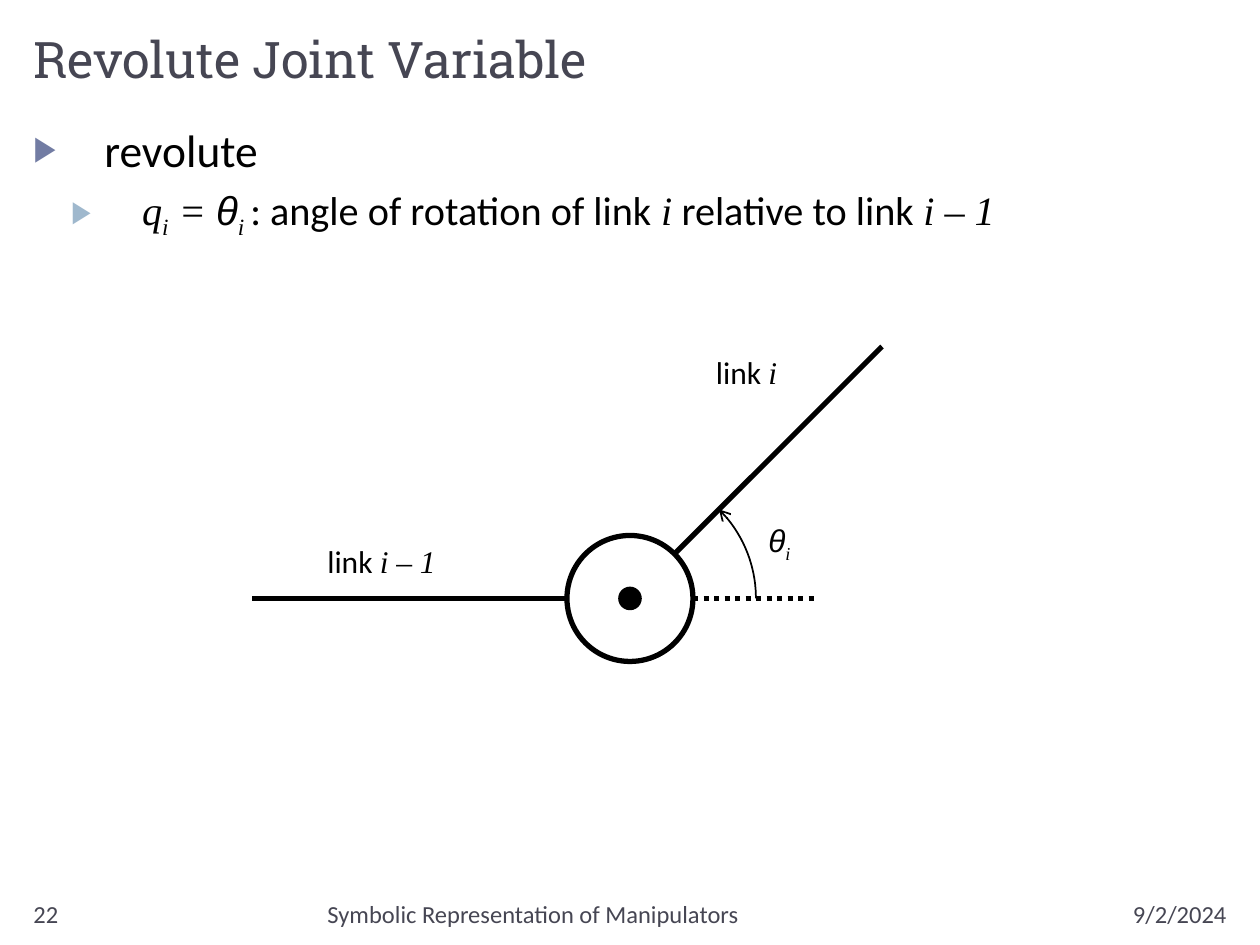
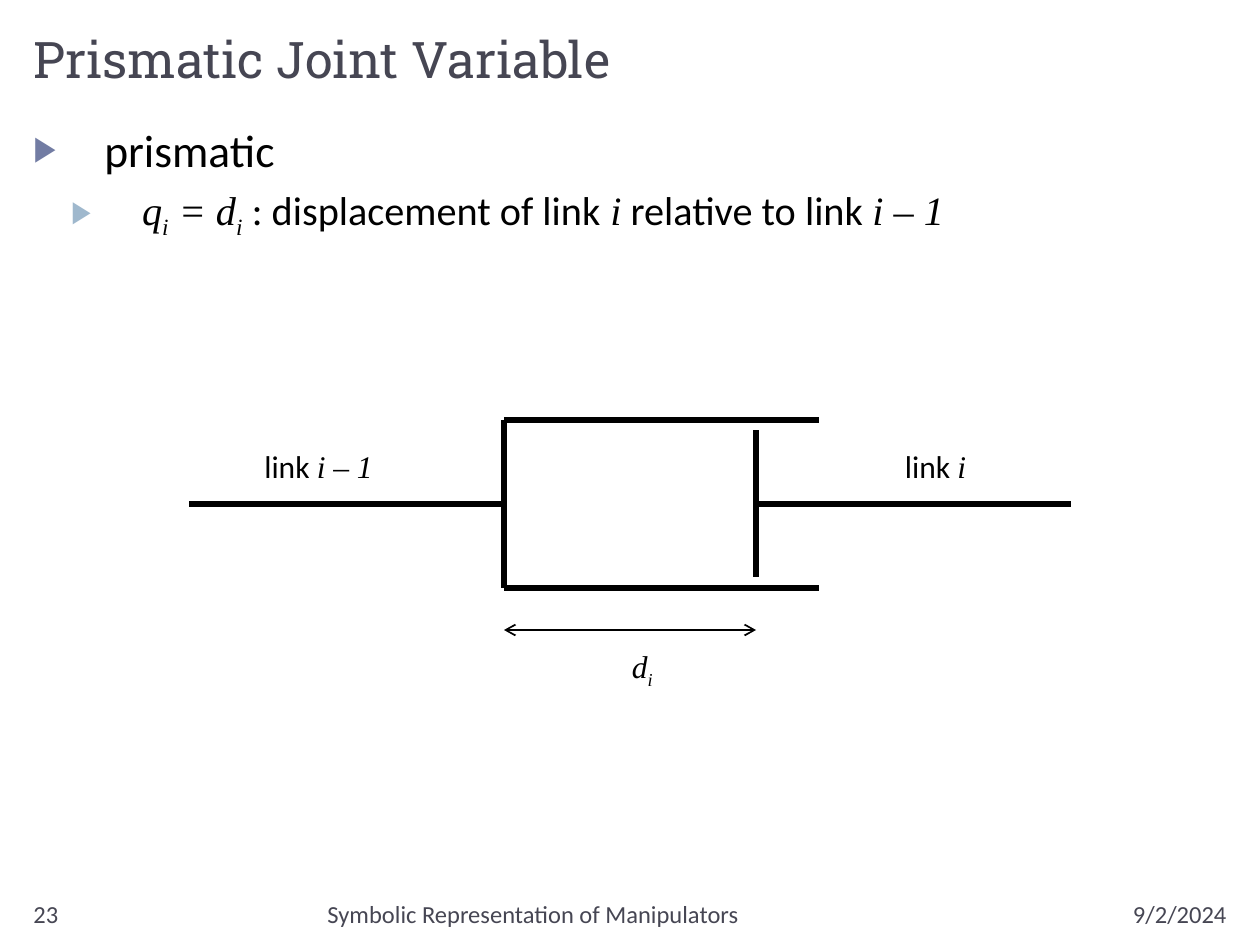
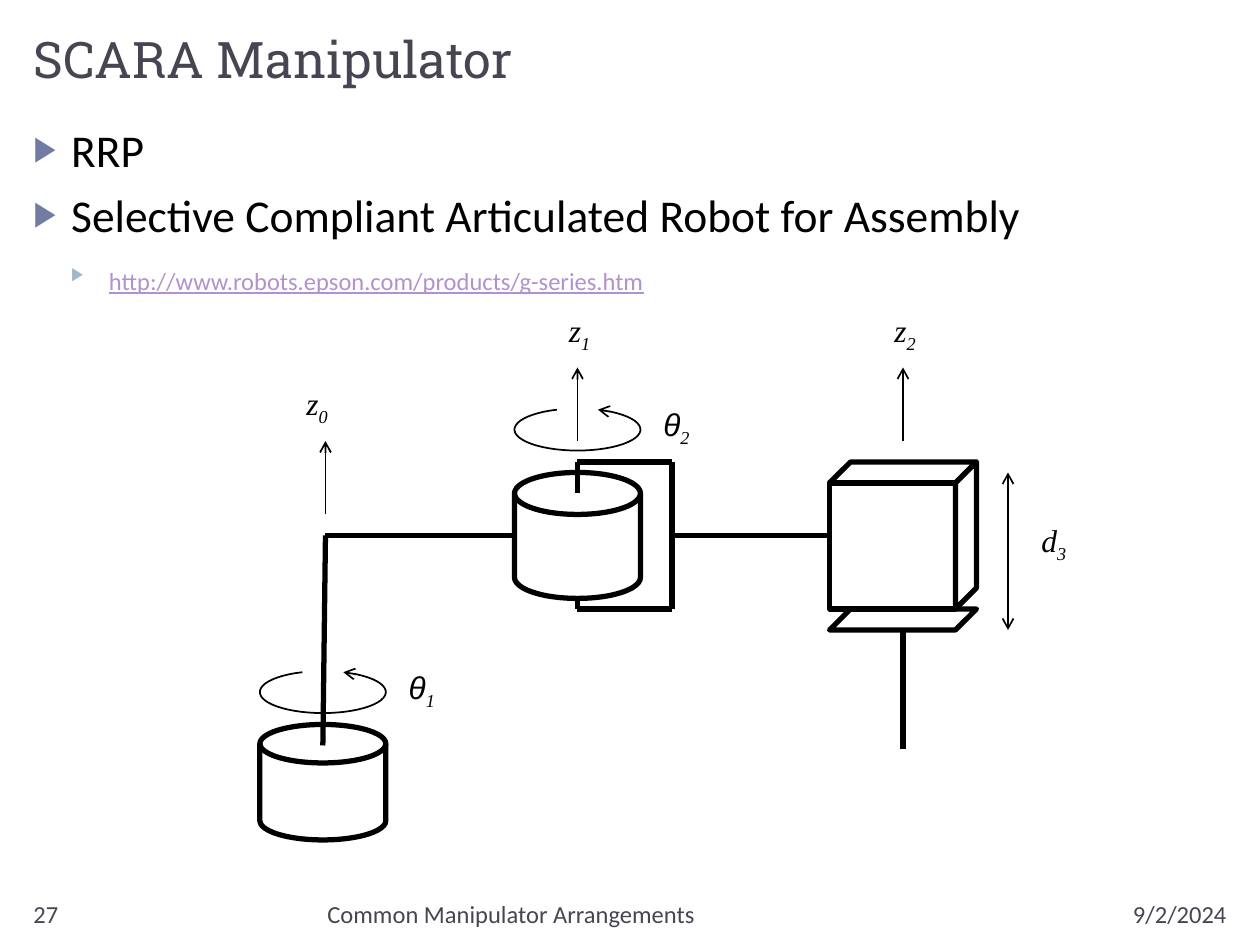
from dataclasses import dataclass
from math import cos, radians, sin

from lxml.etree import SubElement
from pptx import Presentation
from pptx.dml.color import RGBColor
from pptx.enum.dml import MSO_LINE
from pptx.enum.shapes import MSO_CONNECTOR, MSO_SHAPE
from pptx.enum.text import MSO_ANCHOR, MSO_AUTO_SIZE, PP_ALIGN
from pptx.oxml.ns import qn
from pptx.util import Pt


@dataclass(frozen=True)
class Theme:
    ink: str = "000000"
    paper: str = "FFFFFF"
    heading: str = "464653"
    link: str = "B292CA"
    bullets: tuple = ("727CA3", "9FB8CD")
    title_font: str = "Roboto Slab"
    text_font: str = "Calibri"
    math_font: str = "Times New Roman"
    greek_font: str = "Arial"
    title_size: float = 28.8
    body_sizes: tuple = (26, 23)
    body_spacing: tuple = (6, 5)
    label_size: float = 18
    small_size: float = 14
    level_step: float = 21.6
    thick: float = 3
    thin: float = 1


THEME = Theme()


@dataclass(frozen=True)
class RunStyle:
    font: str
    italic: bool = False
    subscript: bool = False
    underline: bool = False
    color: str = THEME.ink
    size: float = 0  # 0 takes the size of the paragraph


TEXT = RunStyle(THEME.text_font)
VAR = RunStyle(THEME.math_font, italic=True)
SUB = RunStyle(THEME.math_font, italic=True, subscript=True)
GREEK = RunStyle(THEME.greek_font, italic=True)
TITLE = RunStyle(THEME.title_font, color=THEME.heading)
FOOTER = RunStyle(THEME.text_font, color=THEME.heading)
LINK = RunStyle(THEME.text_font, underline=True, color=THEME.link, size=THEME.small_size)

LINK_I = [("link ", TEXT), ("i", VAR)]
LINK_PREVIOUS = [("link ", TEXT), ("i – 1", VAR)]
RELATIVE = [("i", VAR), (" relative to link ", TEXT), ("i – 1", VAR)]


def rgb(color):
    return RGBColor.from_string(color)


def write(p, runs, size):
    for text, style in runs:
        r = p.add_run()
        r.text = text
        r.font.name = style.font
        r.font.size = Pt(style.size or size)
        r.font.italic = style.italic
        r.font.underline = style.underline
        r.font.color.rgb = rgb(style.color)
        if style.subscript:
            r.font._element.set("baseline", "-25000")


def add_text(s, x, y, w, h, runs, size, align=PP_ALIGN.LEFT, anchor=MSO_ANCHOR.TOP):
    tf = s.shapes.add_textbox(Pt(x), Pt(y), Pt(w), Pt(h)).text_frame
    tf.word_wrap = True
    tf.vertical_anchor = anchor
    tf.paragraphs[0].alignment = align
    write(tf.paragraphs[0], runs, size)
    return tf


def add_label(s, x, y, runs, w=27.5):
    tf = add_text(s, x, y, w, 29, runs, THEME.label_size)
    tf.word_wrap = False
    tf.auto_size = MSO_AUTO_SIZE.SHAPE_TO_FIT_TEXT


def add_bullet(p, level, hanging):
    p.level = level
    pPr = p._p.get_or_add_pPr()
    pPr.set("marL", str(Pt(hanging + level * THEME.level_step)))
    pPr.set("indent", str(-Pt(hanging)))
    color = SubElement(pPr, qn("a:buClr"))
    SubElement(color, qn("a:srgbClr"), val=THEME.bullets[level])
    SubElement(pPr, qn("a:buSzPct"), val="76000")
    SubElement(pPr, qn("a:buFont"), typeface=THEME.greek_font)
    SubElement(pPr, qn("a:buChar"), char="▶")


def add_body(s, items, hanging):
    """Write (level, runs) items as a bulleted list."""
    tf = s.shapes.add_textbox(Pt(12), Pt(66), Pt(696), Pt(432)).text_frame
    tf.word_wrap = True
    for i, (level, runs) in enumerate(items):
        p = tf.add_paragraph() if i else tf.paragraphs[0]
        add_bullet(p, level, hanging)
        p.space_before = Pt(THEME.body_spacing[level] if i else 0)
        write(p, runs, THEME.body_sizes[level])


def add_frame(prs, title, number, section):
    s = prs.slides.add_slide(prs.slide_layouts[6])
    add_text(s, 12, 12, 696, 42, [(title, TITLE)], THEME.title_size,
             anchor=MSO_ANCHOR.BOTTOM)
    for x, w, text, align in ((576, 132, "9/2/2024", PP_ALIGN.RIGHT),
                              (12, 156, str(number), PP_ALIGN.LEFT),
                              (180, 384, section, PP_ALIGN.LEFT)):
        add_text(s, x, 510, w, 19.5, [(text, FOOTER)], THEME.small_size, align)
    return s


def style_line(sp, weight, head=False, tail=False):
    sp.line.color.rgb = rgb(THEME.ink)
    sp.line.width = Pt(weight)
    ln = sp.line._get_or_add_ln()
    for tag, wanted in (("a:headEnd", head), ("a:tailEnd", tail)):
        if wanted:
            SubElement(ln, qn(tag), type="arrow")


def style_shape(sp, fill=None, weight=THEME.thick, head=False):
    sp.shadow.inherit = False
    if fill:
        sp.fill.solid()
        sp.fill.fore_color.rgb = rgb(fill)
    else:
        sp.fill.background()
    style_line(sp, weight, head)


def add_line(s, x1, y1, x2, y2, weight=THEME.thick, head=False, tail=False):
    sp = s.shapes.add_connector(MSO_CONNECTOR.STRAIGHT, Pt(x1), Pt(y1), Pt(x2), Pt(y2))
    SubElement(sp._element.spPr, qn("a:effectLst"))
    style_line(sp, weight, head, tail)
    return sp


def add_arrow(s, x1, y1, x2, y2, both=False):
    add_line(s, x1, y1, x2, y2, THEME.thin, head=True, tail=both)


def add_preset(s, kind, x, y, w, h, fill=None, weight=THEME.thick):
    sp = s.shapes.add_shape(kind, Pt(x), Pt(y), Pt(w), Pt(h))
    style_shape(sp, fill, weight)


def add_outline(s, points, close):
    start, *rest = [(Pt(x), Pt(y)) for x, y in points]
    builder = s.shapes.build_freeform(*start)
    builder.add_line_segments(rest, close=close)
    return builder.convert_to_shape()


def add_face(s, points):
    style_shape(add_outline(s, points, True), THEME.paper)


def add_curved_arrow(s, cx, cy, rx, ry, start, end):
    """Draw an elliptical arc, clockwise in degrees, with its arrowhead at start."""
    steps = 48
    angles = [radians(start + (end - start) * i / steps) for i in range(steps + 1)]
    arc = add_outline(s, [(cx + rx * cos(a), cy + ry * sin(a)) for a in angles], False)
    style_shape(arc, weight=THEME.thin, head=True)


def add_turn(s, cx, cy):
    """Draw the arrow that shows rotation about a vertical axis."""
    add_curved_arrow(s, cx, cy, 36, 12, -71, 251)


def revolute_slide(prs):
    s = add_frame(prs, "Revolute Joint Variable", 22,
                  "Symbolic Representation of Manipulators")
    add_body(s, [
        (0, [("revolute", TEXT)]),
        (1, [("q", VAR), ("i", SUB), (" = ", VAR), ("θ", GREEK), ("i ", SUB),
             (": angle of rotation of link ", TEXT), *RELATIVE]),
    ], 40.5)
    cx, cy = 360, 342
    add_preset(s, MSO_SHAPE.OVAL, cx - 36, cy - 36, 72, 72)
    add_line(s, 144, cy, cx - 36, cy)
    add_line(s, 385.5, 316.5, 504, 198)
    add_preset(s, MSO_SHAPE.OVAL, cx - 6, cy - 6, 12, 12, THEME.ink, 1.5)
    reference = add_line(s, cx + 36, cy, 468, cy)
    reference.line.dash_style = MSO_LINE.ROUND_DOT
    add_label(s, 180, 306, LINK_PREVIOUS, 83)
    add_label(s, 402, 198, LINK_I, 55)
    add_label(s, 432, 294, [("θ", GREEK), ("i", SUB)])
    add_curved_arrow(s, cx, cy, 72, 72, -45, 0)


def prismatic_slide(prs):
    s = add_frame(prs, "Prismatic Joint Variable", 23,
                  "Symbolic Representation of Manipulators")
    add_body(s, [
        (0, [("prismatic", TEXT)]),
        (1, [("q", VAR), ("i", SUB), (" = d", VAR), ("i", SUB),
             (" : displacement of link ", TEXT), *RELATIVE]),
    ], 40.5)
    axis, sleeve, piston = 288, 288, 432
    add_line(s, 108, axis, sleeve, axis)
    add_line(s, sleeve, axis - 48, sleeve, axis + 48)
    for y in (axis - 48, axis + 48):
        add_line(s, sleeve, y, 468, y)
    add_line(s, piston, axis - 42, piston, axis + 42)
    add_line(s, piston, axis, 612, axis)
    add_label(s, 144, 252, LINK_PREVIOUS, 83)
    add_label(s, 510, 252, LINK_I, 55)
    add_arrow(s, sleeve, 360, piston, 360, both=True)
    add_label(s, 354, 366, [("d", VAR), ("i", SUB)])


def scara_slide(prs):
    s = add_frame(prs, "SCARA Manipulator", 27, "Common Manipulator Arrangements")
    add_body(s, [
        (0, [("RRP", TEXT)]),
        (0, [("Selective Compliant Articulated Robot for Assembly", TEXT)]),
        (1, [("http://www.robots.epson.com/products/g-series.htm", LINK), (" ", TEXT)]),
    ], 21.6)
    arm_y, elbow, bracket = 306, 330, 384

    # Prismatic joint: a box seen from the front, above its end plate
    left, right, top, bottom, depth = 474, 546, 276, 348, 12
    add_line(s, bracket, arm_y, 480, arm_y)
    add_line(s, 516, 354, 516, 428)
    for y in (bottom + depth, top):
        add_face(s, [(left, y), (left + depth, y - depth),
                     (right + depth, y - depth), (right, y)])
    add_preset(s, MSO_SHAPE.RECTANGLE, left, top, right - left, bottom - top, THEME.paper)
    add_face(s, [(right, bottom), (right + depth, bottom - depth),
                 (right + depth, top - depth), (right, top)])
    add_arrow(s, 576, 270, 576, 360, both=True)
    add_label(s, 588, 294, [("d", VAR), ("3", SUB)], 29.5)

    # Base joint and first link
    add_preset(s, MSO_SHAPE.FLOWCHART_MAGNETIC_DISK, 148.5, 414, 72, 66)
    add_line(s, 184.5, 426, 186, arm_y)
    add_line(s, 186, arm_y, elbow - 36, arm_y)

    # Elbow joint with the bracket that holds it
    add_preset(s, MSO_SHAPE.FLOWCHART_MAGNETIC_DISK, elbow - 36, 270, 72, 72)
    for y, end in ((264, 282), (348, 342)):
        add_line(s, elbow, y, elbow, end)
        add_line(s, elbow, y, bracket, y)
    add_line(s, bracket, 264, bracket, 348)

    for i, (x, y, label_x) in enumerate(((186, 252, 168), (elbow, 210, 318), (516, 210, 504))):
        add_arrow(s, x, y, x, y + 42)
        add_label(s, label_x, y - 36, [("z", VAR), (str(i), SUB)])
    for i, (x, y) in enumerate(((184.5, 395.5), (elbow, 245.5)), 1):
        add_turn(s, x, y)
        add_label(s, x + 42, y - 17.5, [("θ", GREEK), (str(i), SUB)], 30)


def main():
    prs = Presentation()
    prs.slide_width, prs.slide_height = Pt(720), Pt(540)
    revolute_slide(prs)
    prismatic_slide(prs)
    scara_slide(prs)
    prs.save("out.pptx")


if __name__ == "__main__":
    main()
